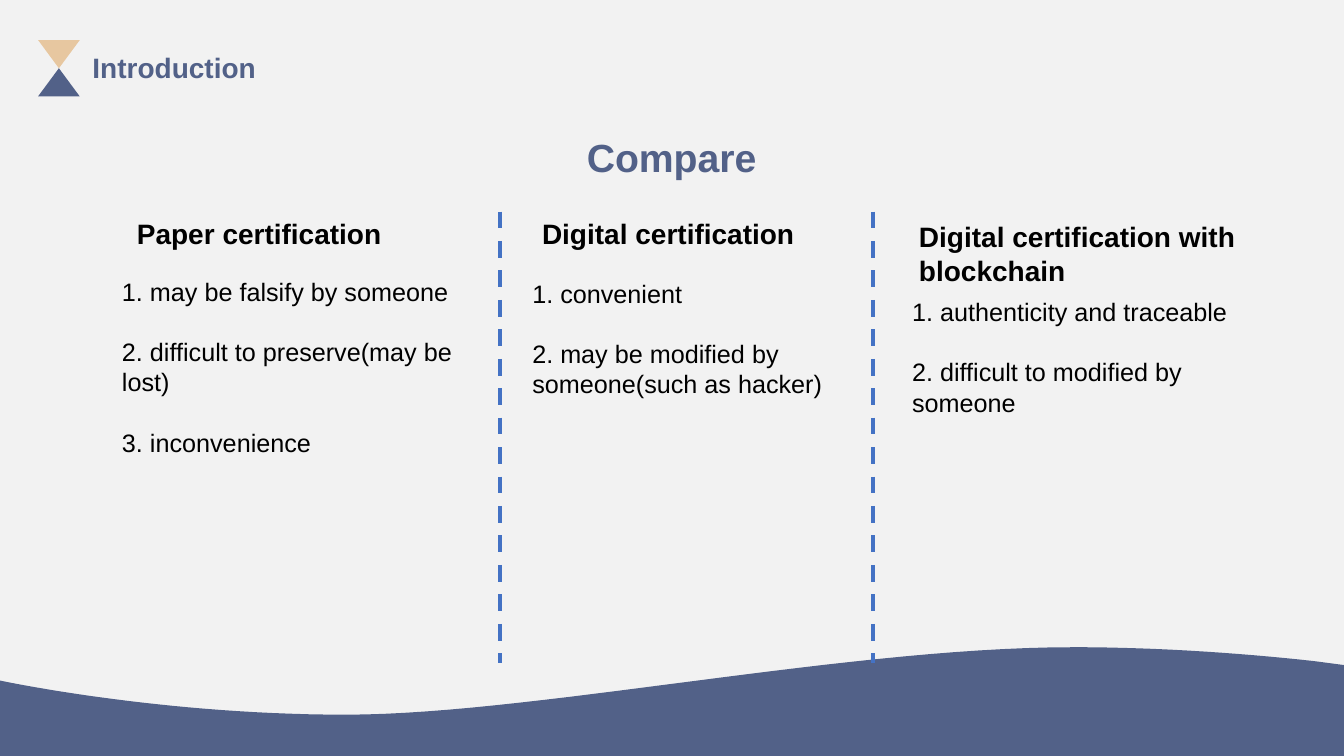
from pptx import Presentation
from pptx.dml.color import RGBColor
from pptx.enum.dml import MSO_LINE
from pptx.enum.shapes import MSO_CONNECTOR, MSO_SHAPE
from pptx.enum.text import MSO_ANCHOR, MSO_AUTO_SIZE, PP_ALIGN
from pptx.oxml.ns import qn
from pptx.util import Cm, Pt

TRIANGLE = MSO_SHAPE.ISOSCELES_TRIANGLE
STRAIGHT = MSO_CONNECTOR.STRAIGHT
DASH = MSO_LINE.DASH
TOP = MSO_ANCHOR.TOP
NO_AUTOFIT = MSO_AUTO_SIZE.NONE
LEFT, CENTER = PP_ALIGN.LEFT, PP_ALIGN.CENTER

FONT = "Arial"
BACKGROUND, NAVY, SAND = "F2F2F2", "526188", "E7C7A0"
BLACK, DIVIDER_BLUE = "000000", "4472C4"
COMPARISON_LAYOUT = 4
CURVE_STEPS = 30

# Heading box, list box (left, top, width, height in cm), heading, list items
COLUMNS = [
    ((3.2, 5.33, 8.51, 1.96), (2.82, 6.83, 9.3, 4.88),
     "Paper certification",
     ["1. may be falsify by someone",
      "2. difficult to preserve(may be lost)",
      "3. inconvenience"]),
    ((13.41, 5.33, 7.26, 1.12), (13.16, 6.88, 8.84, 3.33),
     "Digital certification",
     ["1. convenient",
      "2. may be modified by someone(such as hacker)"]),
    ((22.91, 5.41, 9.25, 1.96), (22.73, 7.34, 9.91, 3.33),
     "Digital certification with blockchain",
     ["1. authenticity and traceable",
      "2. difficult to modified by someone"]),
]
DIVIDERS = [12.6, 22]


def color(hex_string):
    return RGBColor.from_string(hex_string)


def place(shape, box):
    shape.left, shape.top, shape.width, shape.height = map(Cm, box)


def paint(shape, hex_string):
    shape.shadow.inherit = False
    shape.fill.solid()
    shape.fill.fore_color.rgb = color(hex_string)
    shape.line.fill.background()


def write(shape, lines, size, hex_string, bold=False, align=LEFT, gap=0):
    """Fill a text box or placeholder with one paragraph per line."""
    frame = shape.text_frame
    frame.word_wrap = True
    frame.auto_size = NO_AUTOFIT
    frame.vertical_anchor = TOP
    frame.text = "\n".join(lines)
    for index, paragraph in enumerate(frame.paragraphs):
        paragraph.alignment = align
        paragraph.line_spacing = 1.0
        paragraph.space_before = Pt(gap if index else 0)
        paragraph.space_after = Pt(0)
        font = paragraph.font
        font.name, font.size, font.bold = FONT, Pt(size), bold
        font.color.rgb = color(hex_string)


def remove_bullets(shape):
    for paragraph in shape.text_frame.paragraphs:
        properties = paragraph._p.get_or_add_pPr()
        properties.set("marL", "0")
        properties.set("indent", "0")
        properties.append(properties.makeelement(qn("a:buNone"), {}))


def add_text(slide, box, text, size, hex_string):
    text_box = slide.shapes.add_textbox(*map(Cm, box))
    write(text_box, [text], size, hex_string, bold=True)


def add_section_mark(slide, left, top):
    """Hourglass of two triangles with the section name beside it."""
    width, height = 1.05, 0.71
    for row, (fill, rotation) in enumerate([(SAND, 180), (NAVY, 0)]):
        triangle = slide.shapes.add_shape(
            TRIANGLE, Cm(left), Cm(top + row * height), Cm(width), Cm(height))
        triangle.rotation = rotation
        paint(triangle, fill)
    add_text(slide, (left + 1.12, top + 0.13, 4.83, 1.12),
             "Introduction", 20, NAVY)


def curve_points(start, control_1, control_2, end):
    """Points along a cubic curve, without its start."""
    for step in range(1, CURVE_STEPS + 1):
        t = step / CURVE_STEPS
        weights = ((1 - t) ** 3, 3 * t * (1 - t) ** 2, 3 * t * t * (1 - t), t ** 3)
        points = (start, control_1, control_2, end)
        yield tuple(sum(weight * point[axis] for weight, point in zip(weights, points))
                    for axis in (0, 1))


def add_wave(slide, left, top, width, height):
    """Wavy band along the foot of the slide."""
    crest = [(0, 0.84)]
    for curve in [
        ((0, 0.84), (3.99, 1.7), (8.71, 1.7)),
        ((13.41, 1.7), (21.34, 0), (27.05, 0)),
        ((29.18, 0), (31.29, 0.15), (33.12, 0.35)),
    ]:
        crest.extend(curve_points(crest[-1], *curve))
    outline = crest + [(width, 0.45), (width, height), (0, height)]
    points = [(Cm(left + x), Cm(top + y)) for x, y in outline]
    builder = slide.shapes.build_freeform(*points[0])
    builder.add_line_segments(points[1:], close=True)
    paint(builder.convert_to_shape(), NAVY)


def add_divider(slide, x, top, bottom):
    line = slide.shapes.add_connector(STRAIGHT, Cm(x), Cm(top), Cm(x), Cm(bottom))
    line.line.color.rgb = color(DIVIDER_BLUE)
    line.line.width = Pt(3)
    line.line.dash_style = DASH
    properties = line._element.spPr
    properties.append(properties.makeelement(qn("a:effectLst"), {}))


def add_column(slide, placeholder, heading_box, list_box, heading, items):
    add_text(slide, heading_box, heading, 20, BLACK)
    place(placeholder, list_box)
    write(placeholder, items, 18, BLACK, gap=21.5)
    remove_bullets(placeholder)


def build_comparison_slide(presentation):
    layout = presentation.slide_layouts[COMPARISON_LAYOUT]
    slide = presentation.slides.add_slide(layout)
    slide.background.fill.solid()
    slide.background.fill.fore_color.rgb = color(BACKGROUND)
    title, *bodies = slide.placeholders

    # Header and footer
    add_section_mark(slide, 0.96, 1.01)
    add_wave(slide, 0, 16.31, 33.87, 2.81)

    # Title
    place(title, (13.18, 3.23, 7.49, 1.45))
    write(title, ["Compare"], 28, NAVY, bold=True, align=CENTER)

    # Columns and the lines between them
    for placeholder, column in zip(bodies, COLUMNS):
        add_column(slide, placeholder, *column)
    for x in DIVIDERS:
        add_divider(slide, x, 5.33, 16.71)

    # Unused body placeholder
    for placeholder in bodies[len(COLUMNS):]:
        placeholder._element.getparent().remove(placeholder._element)


def main():
    presentation = Presentation()
    presentation.slide_width, presentation.slide_height = Cm(33.87), Cm(19.05)
    build_comparison_slide(presentation)
    presentation.save("out.pptx")


if __name__ == "__main__":
    main()
